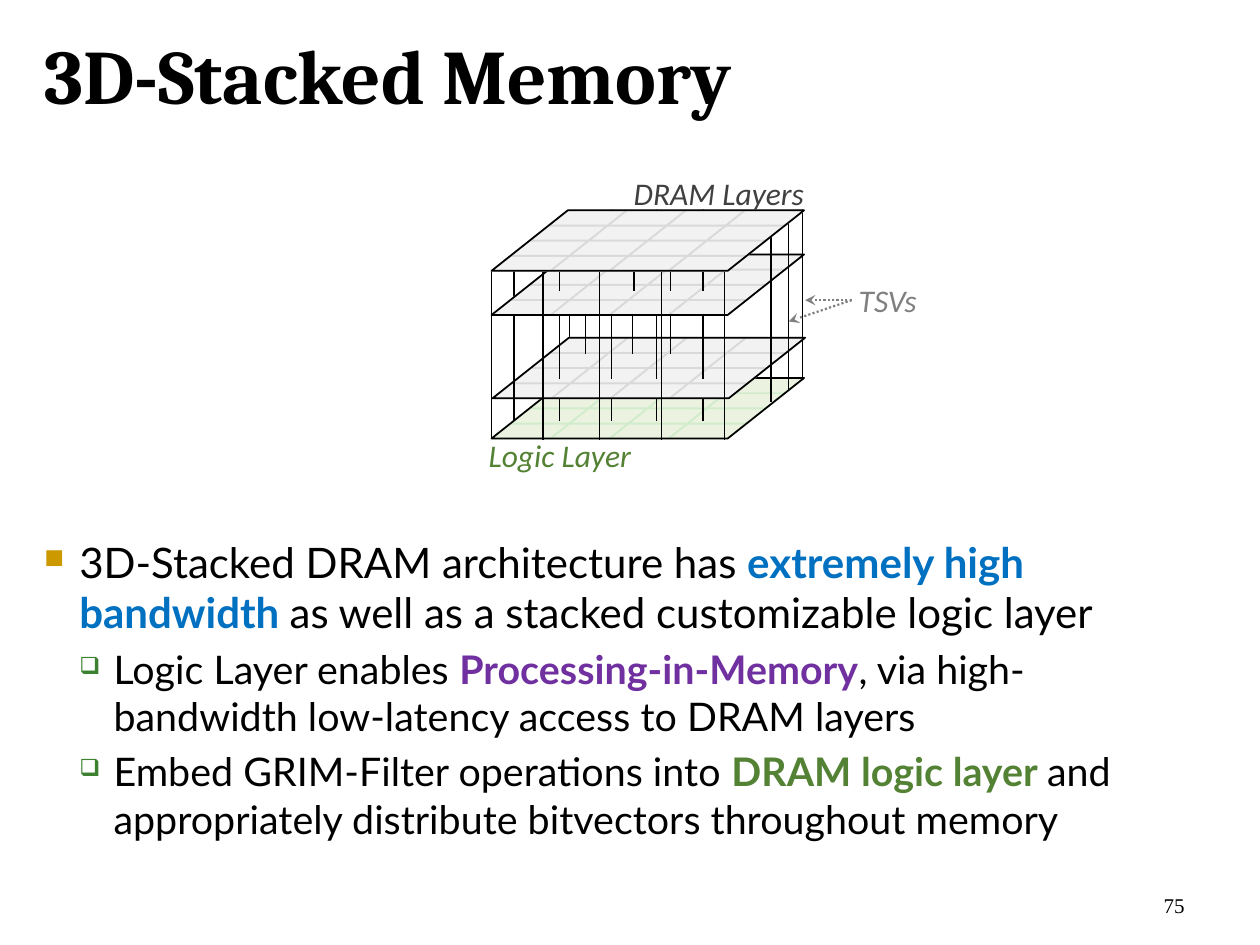
import dataclasses
import typing

import lxml.etree
import pptx
import pptx.dml.color
import pptx.enum.dml
import pptx.enum.shapes
import pptx.enum.text
import pptx.oxml.ns
import pptx.util

Cm = pptx.util.Cm
Pt = pptx.util.Pt
Align = pptx.enum.text.PP_ALIGN
Anchor = pptx.enum.text.MSO_ANCHOR
AutoSize = pptx.enum.text.MSO_AUTO_SIZE

COLOURS = {
    "black": "000000", "blue": "0070C0", "purple": "7030A0", "green": "538234",
    "gold": "CC9900", "leaf": "3B812F", "dark": "404040", "grey": "808080",
    "logic": "EBF3E0", "logic grid": "D0ECCB", "dram": "F2F2F2", "dram grid": "D9D9D9",
}
LAYER_WIDTH, LAYER_HEIGHT, CELLS, SLANT = 6.30, 1.22, 4, 1.261


@dataclasses.dataclass
class Span:
    text: str
    size: float
    font: str
    colour: str = "black"
    bold: bool = False
    italic: bool = False


@dataclasses.dataclass
class Para:
    spans: list[Span]
    align: Align = Align.LEFT
    level: int = 0
    margin: float = 0
    hanging: float = 0
    before: float = 0
    bullet: str = ""
    bullet_colour: str = "black"
    bullet_size: int = 100


@dataclasses.dataclass
class Box:
    left: float
    top: float
    width: float
    height: float
    paras: list[Para]
    anchor: Anchor = Anchor.TOP
    wrap: bool = True
    grow: bool = False
    side_inset: float = 0.25


@dataclasses.dataclass
class Layer:
    left: float
    top: float
    kind: str
    pillars: list[tuple[float, float, float]]


def rgb(name: str) -> pptx.dml.color.RGBColor:
    return pptx.dml.color.RGBColor.from_string(COLOURS[name])


def add_child(parent: typing.Any, tag: str, **attributes: str) -> typing.Any:
    return lxml.etree.SubElement(parent, pptx.oxml.ns.qn(tag), **attributes)


def draw_bullet(paragraph: typing.Any, para: Para) -> None:
    properties = paragraph._p.get_or_add_pPr()
    properties.set("marL", str(Cm(para.margin)))
    properties.set("indent", str(-Cm(para.hanging)))
    colour = add_child(properties, "a:buClr")
    add_child(colour, "a:srgbClr", val=COLOURS[para.bullet_colour])
    add_child(properties, "a:buSzPct", val=str(para.bullet_size * 1000))
    add_child(properties, "a:buChar", char=para.bullet)


def draw_box(page: typing.Any, box: Box) -> None:
    shape = page.shapes.add_textbox(Cm(box.left), Cm(box.top), Cm(box.width), Cm(box.height))
    frame = shape.text_frame
    frame.word_wrap = box.wrap
    frame.vertical_anchor = box.anchor
    frame.auto_size = AutoSize.SHAPE_TO_FIT_TEXT if box.grow else AutoSize.NONE
    frame.margin_left = frame.margin_right = Cm(box.side_inset)
    for index, para in enumerate(box.paras):
        paragraph = frame.add_paragraph() if index else frame.paragraphs[0]
        paragraph.alignment = para.align
        paragraph.level = para.level
        if index:
            paragraph.space_before = Pt(para.before)
        if para.bullet:
            draw_bullet(paragraph, para)
        for span in para.spans:
            run = paragraph.add_run()
            run.text = span.text
            run.font.size = Pt(span.size)
            run.font.name = span.font
            run.font.bold = span.bold
            run.font.italic = span.italic
            run.font.color.rgb = rgb(span.colour)


def draw_line(page: typing.Any, start: tuple[float, float], end: tuple[float, float],
              colour: str, width: float, arrow: bool = False) -> None:
    line = page.shapes.add_connector(pptx.enum.shapes.MSO_CONNECTOR.STRAIGHT,
                                     Cm(start[0]), Cm(start[1]), Cm(end[0]), Cm(end[1]))
    line.line.color.rgb = rgb(colour)
    line.line.width = Pt(width)
    if arrow:
        line.line.dash_style = pptx.enum.dml.MSO_LINE.ROUND_DOT
        add_child(line.line._get_or_add_ln(), "a:tailEnd", type="stealth")
    add_child(line._element.spPr, "a:effectLst")


def draw_sheet(page: typing.Any, left: float, top: float, width: float, height: float,
               outline: str, fill: str = "") -> None:
    sheet = page.shapes.add_shape(pptx.enum.shapes.MSO_SHAPE.PARALLELOGRAM,
                                  Cm(left), Cm(top), Cm(width), Cm(height))
    sheet.adjustments[0] = SLANT
    sheet.shadow.inherit = False
    sheet.line.color.rgb = rgb(outline)
    sheet.line.width = Pt(1)
    if fill:
        sheet.fill.solid()
        sheet.fill.fore_color.rgb = rgb(fill)
    else:
        sheet.fill.background()


def draw_layer(page: typing.Any, layer: Layer) -> None:
    height = LAYER_HEIGHT / CELLS
    shift = height * SLANT
    pitch = (LAYER_WIDTH - CELLS * shift) / CELLS
    for column in range(CELLS):
        for row in range(CELLS):
            left = layer.left + column * pitch + row * shift
            top = layer.top + (CELLS - 1 - row) * height
            draw_sheet(page, left, top, pitch + shift, height, f"{layer.kind} grid", layer.kind)
    draw_sheet(page, layer.left, layer.top, LAYER_WIDTH, LAYER_HEIGHT, "black")
    for x, top, bottom in layer.pillars:
        draw_line(page, (x, top), (x, bottom), "black", 0.75)


def label(text: str, colour: str) -> Span:
    return Span(text, 18, "Calibri", colour, italic=True)


def point(size: float, lead: str, key: str, colour: str, rest: str) -> list[Span]:
    return [Span(lead, size, "Lato"), Span(key, size, "Lato", colour, bold=True),
            Span(rest, size, "Lato")]


def sub_point(lead: str, key: str, colour: str, rest: str) -> Para:
    return Para(point(22.5, lead, key, colour, rest), level=1, margin=1.40, hanging=0.69,
                before=4.5, bullet="❑", bullet_colour="leaf", bullet_size=60)


FRONT_PILLARS = [
    (9.91, 5.46, 8.84),
    *[(x, 5.49, 8.86) for x in (10.95, 12.09, 13.34, 14.61)],
    (15.54, 4.72, 8.10), (15.90, 4.47, 7.85), (16.18, 4.22, 7.62),
    *[(x, 6.32, 7.65) for x in (11.28, 14.17)],
    *[(x, 6.32, 7.14) for x in (11.81, 12.75, 13.51)],
    (12.32, 6.45, 7.65), (13.23, 6.68, 7.65),
    *[(x, 8.05, 8.48) for x in (11.28, 12.32, 13.23, 14.17)],
    *[(x, 5.49, 5.87) for x in (11.28, 12.78, 13.51, 14.17)],
]
LAYERS = [
    Layer(9.91, 7.62, "logic", [(11.81, 5.51, 5.89), (14.17, 4.22, 7.62), (11.48, 4.27, 7.65)]),
    Layer(9.93, 6.81, "dram", [(13.23, 4.22, 7.62), (10.36, 5.23, 8.48), (12.32, 4.22, 7.62)]),
    Layer(9.91, 5.13, "dram", FRONT_PILLARS),
    Layer(9.91, 4.24, "dram", []),
]
BODY = [
    Para(point(24, "3D-Stacked DRAM architecture has ", "extremely high bandwidth ", "blue",
               "as well as a stacked customizable logic layer"),
         margin=0.71, hanging=0.71, bullet="■", bullet_colour="gold", bullet_size=65),
    sub_point("Logic Layer enables ", "Processing-in-Memory", "purple",
              ", via high-bandwidth low-latency access to DRAM layers"),
    sub_point("Embed GRIM-Filter operations into ", "DRAM logic layer ", "green",
              "and appropriately distribute bitvectors throughout memory"),
]
BOXES = [
    Box(0.64, 0.43, 23.93, 2.97, [Para([Span("3D-Stacked Memory", 44, "Cambria", bold=True)])]),
    Box(0.64, 10.69, 23.93, 6.68, BODY),
    Box(18.21, 17.35, 5.92, 1.27, [Para([Span("75", 12, "Times New Roman")], Align.RIGHT)],
        anchor=Anchor.BOTTOM),
    Box(12.14, 3.38, 4.32, 1.02, [Para([label("DRAM Layers", "dark")], Align.RIGHT)], grow=True),
    Box(9.60, 8.66, 4.11, 1.02, [Para([label("Logic Layer", "green")])], grow=True),
    Box(17.17, 5.54, 1.45, 1.02, [Para([label("TSVs", "grey")], Align.CENTER)],
        wrap=False, side_inset=0),
]


def main() -> None:
    deck = pptx.Presentation()
    deck.slide_width, deck.slide_height = Cm(25.4), Cm(19.05)
    page = deck.slides.add_slide(deck.slide_layouts[6])
    for box in BOXES:
        draw_box(page, box)
    for layer in LAYERS:
        draw_layer(page, layer)
    for tip in ((16.23, 6.05), (15.90, 6.48)):
        draw_line(page, (17.17, 6.05), tip, "grey", 1.25, arrow=True)
    deck.save("out.pptx")


if __name__ == "__main__":
    main()
